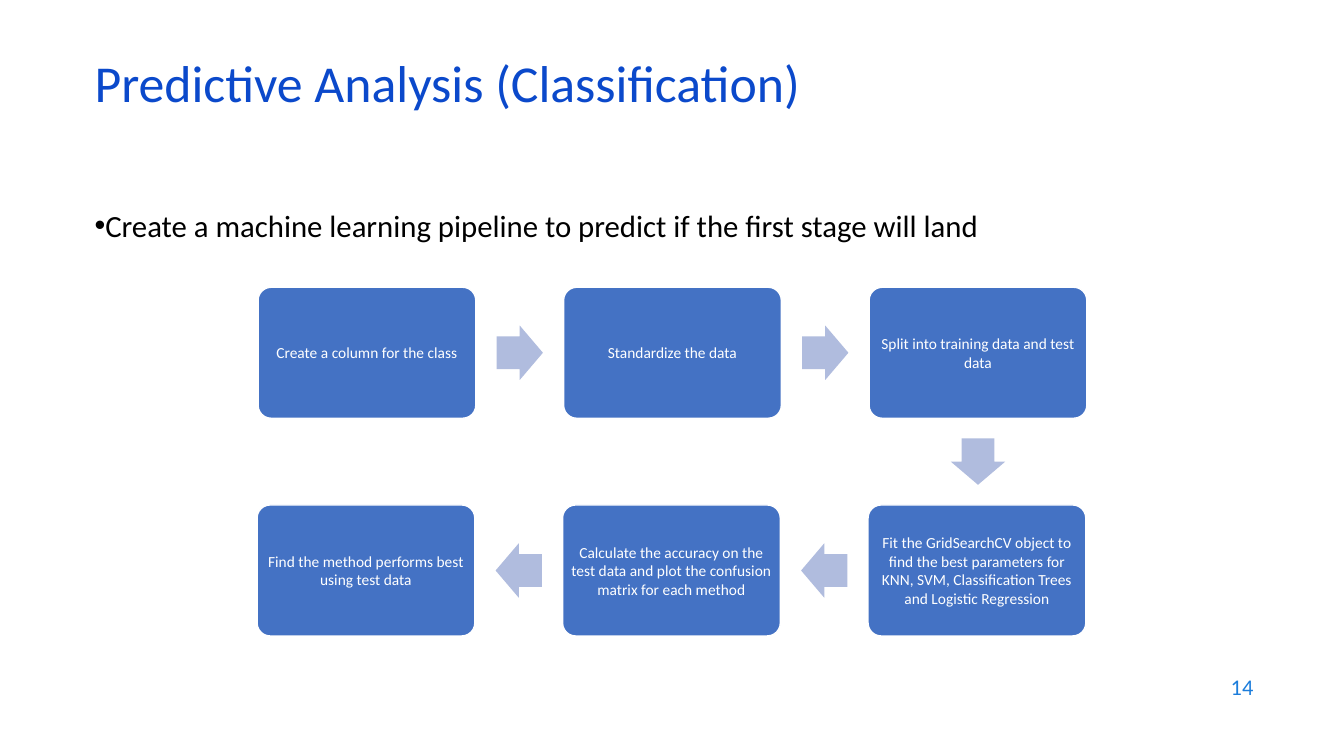
from dataclasses import dataclass

from lxml import etree
from pptx import Presentation
from pptx.dml.color import RGBColor
from pptx.enum import shapes, text
from pptx.oxml import ns
from pptx.util import Inches, Pt


@dataclass(frozen=True)
class Theme:
    font: str = "Calibri"
    title: RGBColor = RGBColor(0x0B, 0x49, 0xCB)
    body: RGBColor = RGBColor(0, 0, 0)
    number: RGBColor = RGBColor(0x1C, 0x7D, 0xDB)
    step: RGBColor = RGBColor(0x44, 0x72, 0xC4)
    arrow: RGBColor = RGBColor(0xB0, 0xBC, 0xDE)
    white: RGBColor = RGBColor(0xFF, 0xFF, 0xFF)
    title_size: int = 37
    body_size: int = 22
    number_size: int = 16
    step_size: int = 11


THEME = Theme()
STEP_W, STEP_H = 2.16, 1.3
ARROW_W, ARROW_H = 0.46, 0.54
COLUMN_PITCH = 3.03
ARROW_GAP = (COLUMN_PITCH - STEP_W - ARROW_W) / 2

TOP_LEFT, TOP_Y = 2.56, 2.85
BOTTOM_LEFT, BOTTOM_Y = 2.55, 5.01
TOP_STEPS = [
    "Create a column for the class",
    "Standardize the data",
    "Split into training data and test data",
]
BOTTOM_STEPS = [
    "Find the method performs best using test data",
    "Calculate the accuracy on the test data and plot the confusion matrix for each method",
    "Fit the GridSearchCV object to find the best parameters for KNN, SVM, "
    "Classification Trees and Logistic Regression",
]


def write(tf, content, size, color, align=text.PP_ALIGN.LEFT):
    tf.word_wrap = True
    p = tf.paragraphs[0]
    p.alignment = align
    r = p.add_run()
    r.text = content
    r.font.name, r.font.size, r.font.color.rgb = THEME.font, Pt(size), color
    return p


def add_text(s, box, content, size, color, anchor=text.MSO_ANCHOR.MIDDLE, **kwargs):
    tf = s.shapes.add_textbox(*map(Inches, box)).text_frame
    tf.vertical_anchor = anchor
    return write(tf, content, size, color, **kwargs)


def add_bullet(p):
    pPr = p._p.get_or_add_pPr()
    pPr.set("marL", "0")
    pPr.set("indent", "0")
    etree.SubElement(pPr, ns.qn("a:buFont"), typeface="Arial")
    etree.SubElement(pPr, ns.qn("a:buChar"), char="•")


def add_filled(s, kind, box, adjustments, color):
    sp = s.shapes.add_shape(kind, *map(Inches, box))
    sp.shadow.inherit = False
    for i, value in enumerate(adjustments):
        sp.adjustments[i] = value
    sp.fill.solid()
    sp.fill.fore_color.rgb = color
    sp.line.fill.background()
    return sp


def add_step(s, x, y, content):
    sp = add_filled(s, shapes.MSO_SHAPE.ROUNDED_RECTANGLE,
                    (x, y, STEP_W, STEP_H), [0.1], THEME.step)
    sp.line.color.rgb = THEME.white
    sp.line.width = Pt(1)
    tf = sp.text_frame
    tf.margin_left = tf.margin_right = tf.margin_top = tf.margin_bottom = Inches(0.05)
    tf.vertical_anchor = text.MSO_ANCHOR.MIDDLE
    write(tf, content, THEME.step_size, THEME.white, text.PP_ALIGN.CENTER)


def add_arrow(s, x, y, rotation):
    sp = add_filled(s, shapes.MSO_SHAPE.RIGHT_ARROW,
                    (x, y, ARROW_W, ARROW_H), [0.6, 0.5], THEME.arrow)
    sp.rotation = rotation


def add_row(s, left, top, steps, rotation):
    """Draw steps from left to right, with an arrow in each gap."""
    for i, content in enumerate(steps):
        x = left + i * COLUMN_PITCH
        add_step(s, x, top, content)
        if i < len(steps) - 1:
            add_arrow(s, x + STEP_W + ARROW_GAP, top + (STEP_H - ARROW_H) / 2, rotation)


def main():
    prs = Presentation()
    prs.slide_width, prs.slide_height = Inches(13.33), Inches(7.5)
    s = prs.slides.add_slide(prs.slide_layouts[6])

    title = add_text(s, (0.84, 0.59, 11.5, 0.6), "Predictive Analysis (Classification)",
                     THEME.title_size, THEME.title)
    title.line_spacing = 0.7
    goal = add_text(s, (0.84, 2, 10.66, 0.5),
                    "Create a machine learning pipeline to predict if the first stage will land",
                    THEME.body_size, THEME.body, anchor=text.MSO_ANCHOR.TOP)
    add_bullet(goal)

    add_row(s, TOP_LEFT, TOP_Y, TOP_STEPS, rotation=0)
    last_column = TOP_LEFT + 2 * COLUMN_PITCH
    add_arrow(s, last_column + (STEP_W - ARROW_W) / 2,
              (TOP_Y + STEP_H + BOTTOM_Y - ARROW_H) / 2, rotation=90)
    add_row(s, BOTTOM_LEFT, BOTTOM_Y, BOTTOM_STEPS, rotation=180)

    add_text(s, (9.53, 6.59, 3, 0.44), "14", THEME.number_size, THEME.number,
             align=text.PP_ALIGN.RIGHT)
    prs.save("out.pptx")


if __name__ == "__main__":
    main()
